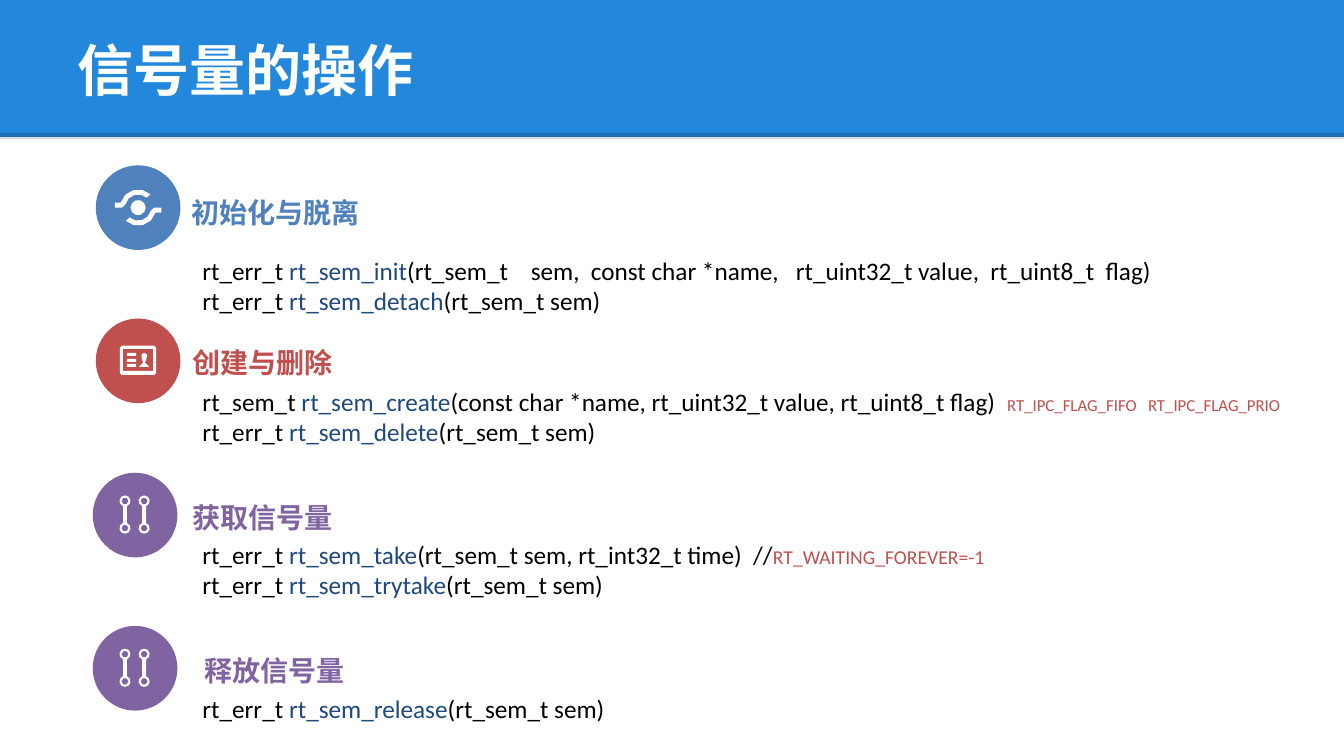
from math import cos, radians, sin

from lxml.etree import SubElement
from pptx import Presentation
from pptx.dml.color import RGBColor
from pptx.enum.shapes import MSO_CONNECTOR, MSO_SHAPE
from pptx.enum.text import MSO_ANCHOR, MSO_AUTO_SIZE
from pptx.oxml.ns import qn
from pptx.util import Inches, Pt

COLORS = {
    "banner": "2388DB",
    "white": "FFFFFF",
    "black": "000000",
    "blue": "4F81BD",
    "red": "C0504D",
    "purple": "8064A2",
    "function": "1F497D",
}
BADGE_SIZE = 0.84
BADGE_CENTER = BADGE_SIZE / 2


def rgb(color):
    return RGBColor.from_string(COLORS[color])


def paint(shape, color):
    shape.shadow.inherit = False
    shape.fill.solid()
    shape.fill.fore_color.rgb = rgb(color)
    shape.line.fill.background()


def add_text(slide, box, paragraphs, *, size=18, color="black", font="Calibri",
             bold=False, anchor=MSO_ANCHOR.TOP, wrap=True, grow=False, insets=(0.1, 0.05)):
    frame = slide.shapes.add_textbox(*map(Inches, box)).text_frame
    frame.word_wrap = wrap
    frame.auto_size = MSO_AUTO_SIZE.SHAPE_TO_FIT_TEXT if grow else MSO_AUTO_SIZE.NONE
    frame.vertical_anchor = anchor
    frame.margin_left = frame.margin_right = Inches(insets[0])
    frame.margin_top = frame.margin_bottom = Inches(insets[1])
    for index, runs in enumerate(paragraphs):
        paragraph = frame.add_paragraph() if index else frame.paragraphs[0]
        for text, changes in runs:
            run = paragraph.add_run()
            run.text = text
            run.font.name = font
            run.font.bold = bold
            run.font.size = Pt(changes.get("size", size))
            run.font.color.rgb = rgb(changes.get("color", color))


def arc(x, y, radius, start, end, step=40):
    count = max(1, round(abs(end - start) / step))
    angles = [radians(start + (end - start) * i / count) for i in range(count + 1)]
    return [(x + radius * cos(a), y + radius * sin(a)) for a in angles]


def circle(x, y, radius, step=45):
    return arc(x, y, radius, 0, 360, step)[:-1]


def rectangle(x, y, width, height):
    return [(x, y), (x + width, y), (x + width, y + height), (x, y + height)]


def swirl_icon():
    c = BADGE_CENTER
    upper = (arc(c, c, 0.18, 196, 313, 30) + arc(c, c, 0.13, 311, 194, 30)
             + [(c - 0.16, c), (c - 0.23, c), (c - 0.23, c - 0.05)])
    lower = [(2 * c - x, 2 * c - y) for x, y in upper]
    return [circle(c, c, 0.075, 36), upper, lower]


def card_icon():
    frame = [point for x, y, start in ((0.26, 0.29, 180), (0.58, 0.29, 270),
                                       (0.58, 0.54, 0), (0.26, 0.54, 90))
             for point in arc(x, y, 0.02, start, start + 90, 90)]
    bars = [rectangle(0.31, y, 0.09, 0.03) for y in (0.34, 0.4, 0.45)]
    person = arc(0.48, 0.37, 0.03, 150, 390, 60) + [
        (0.49, 0.44), (0.53, 0.48), (0.43, 0.48), (0.47, 0.44)]
    return [frame, rectangle(0.27, 0.3, 0.3, 0.22), *bars, person]


def pins_icon():
    top, bottom = 0.28, 0.55
    contours = []
    for x in (0.32, 0.51):
        contours.append(arc(x, top, 0.055, 110, 430) + arc(x, bottom, 0.055, -70, 250))
        contours += [circle(x, y, 0.035, 60) for y in (top, bottom)]
    return contours


def add_badge(slide, left, top, color, contours):
    badge = slide.shapes.add_group_shape().shapes
    disc = badge.add_shape(MSO_SHAPE.OVAL, Inches(left), Inches(top),
                           Inches(BADGE_SIZE), Inches(BADGE_SIZE))
    paint(disc, color)
    outline = None
    for contour in contours:
        points = [(Inches(left + x), Inches(top + y)) for x, y in contour]
        if outline is None:
            outline = badge.build_freeform(*points[0], scale=1.0)
        else:
            outline.move_to(*points[0])
        outline.add_line_segments(points[1:], close=True)
    paint(outline.convert_to_shape(), "white")


def add_banner(slide, box, title):
    left, top, width, height = box
    band = slide.shapes.add_shape(MSO_SHAPE.RECTANGLE, *map(Inches, box))
    paint(band, "banner")
    edge_y = top + height - 0.01
    edge = slide.shapes.add_connector(
        MSO_CONNECTOR.STRAIGHT, Inches(left), Inches(edge_y), Inches(left + width), Inches(edge_y))
    edge.line.width = Pt(4.5)
    edge.line.color.rgb = rgb("black")
    properties = edge.element.spPr
    edge_color = properties.find(".//" + qn("a:srgbClr"))
    SubElement(edge_color, qn("a:alpha")).set("val", "15000")
    SubElement(properties, qn("a:effectLst"))
    add_text(slide, (left + 0.67, top + 0.06, 12, 1.25), [[(title, {})]], size=40,
             color="white", font="Arial", bold=True, anchor=MSO_ANCHOR.MIDDLE)


def signature(result, function, arguments, *notes):
    return [(result + " ", {}), (function, {"color": "function"}), (arguments, {}), *notes]


def add_operation(slide, box, heading, heading_at, color, icon, badge_left, code_top, code):
    left, top, width, height = box
    add_badge(slide, left + badge_left, top, color, icon)
    heading_left, heading_top = heading_at
    add_text(slide, (left + heading_left, top + heading_top, 3.68, 0.41), [[(heading, {})]],
             size=20, color=color, bold=True, wrap=False, insets=(0.12, 0.06))
    add_text(slide, (left + 0.99, top + code_top, width - 0.99, height - code_top), code, grow=True)


def main():
    presentation = Presentation()
    presentation.slide_width, presentation.slide_height = Inches(13.33), Inches(7.5)
    slide = presentation.slides.add_slide(presentation.slide_layouts[6])
    add_banner(slide, (0, 0, 13.33, 1.36), "信号量的操作")

    add_operation(
        slide, (0.92, 1.64, 11.12, 1.55), "初始化与脱离", (0.86, 0.24), "blue",
        swirl_icon(), 0.03, 0.84,
        [signature("rt_err_t", "rt_sem_init",
                   "(rt_sem_t    sem,  const char *name,   rt_uint32_t value,  rt_uint8_t  flag)"),
         signature("rt_err_t", "rt_sem_detach", "(rt_sem_t sem)")])
    add_operation(
        slide, (0.92, 3.16, 12.3, 1.33), "创建与删除", (0.87, 0.21), "red",
        card_icon(), 0.03, 0.62,
        [signature("rt_sem_t", "rt_sem_create",
                   "(const char *name, rt_uint32_t value, rt_uint8_t flag)  ",
                   ("RT_IPC_FLAG_FIFO   RT_IPC_FLAG_PRIO", {"size": 12, "color": "red"})),
         signature("rt_err_t", "rt_sem_delete", "(rt_sem_t sem)")])
    add_operation(
        slide, (0.92, 4.69, 11.12, 1.32), "获取信号量", (0.87, 0.22), "purple",
        pins_icon(), 0, 0.61,
        [signature("rt_err_t", "rt_sem_take", "(rt_sem_t sem, rt_int32_t time)  //",
                   ("RT_WAITING_FOREVER=-1", {"size": 14, "color": "red"})),
         signature("rt_err_t", "rt_sem_trytake", "(rt_sem_t sem)")])
    add_operation(
        slide, (0.92, 6.21, 11.12, 1.02), "释放信号量", (0.99, 0.21), "purple",
        pins_icon(), 0, 0.62,
        [signature("rt_err_t", "rt_sem_release", "(rt_sem_t sem)")])

    presentation.save("out.pptx")


if __name__ == "__main__":
    main()
